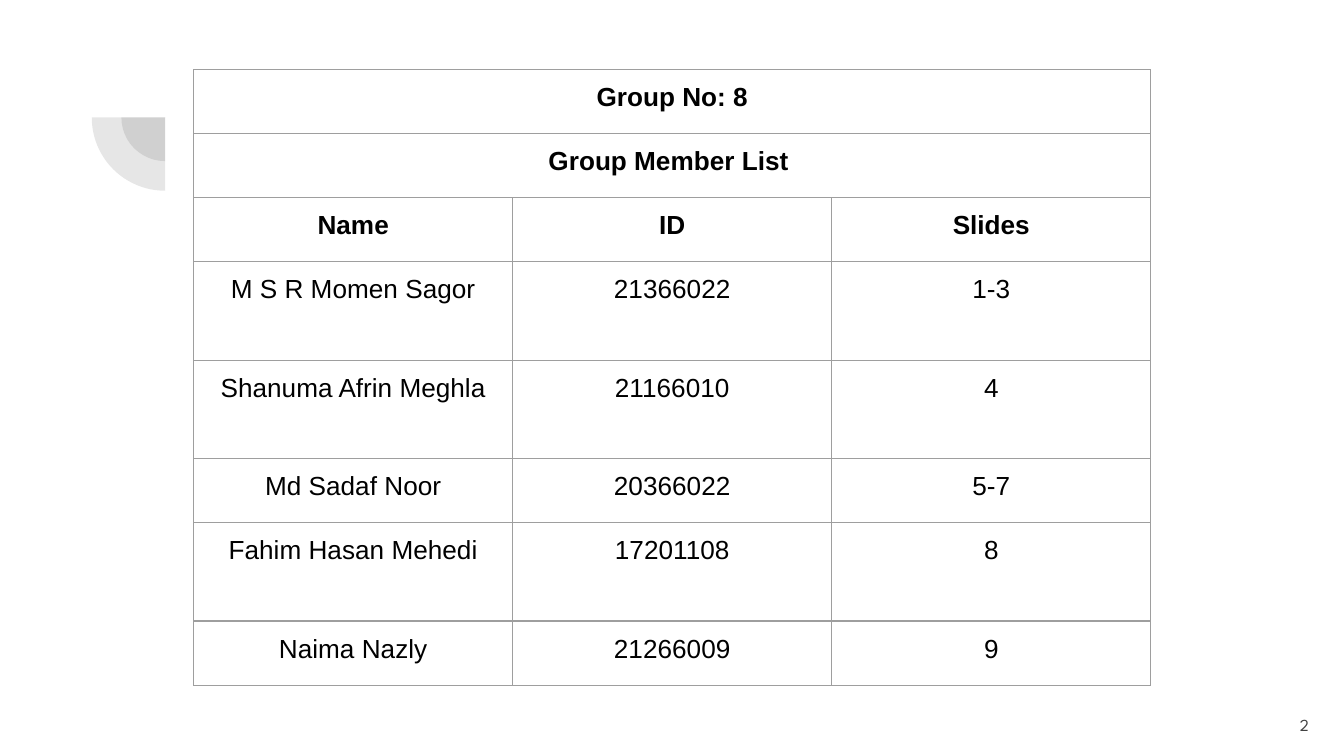
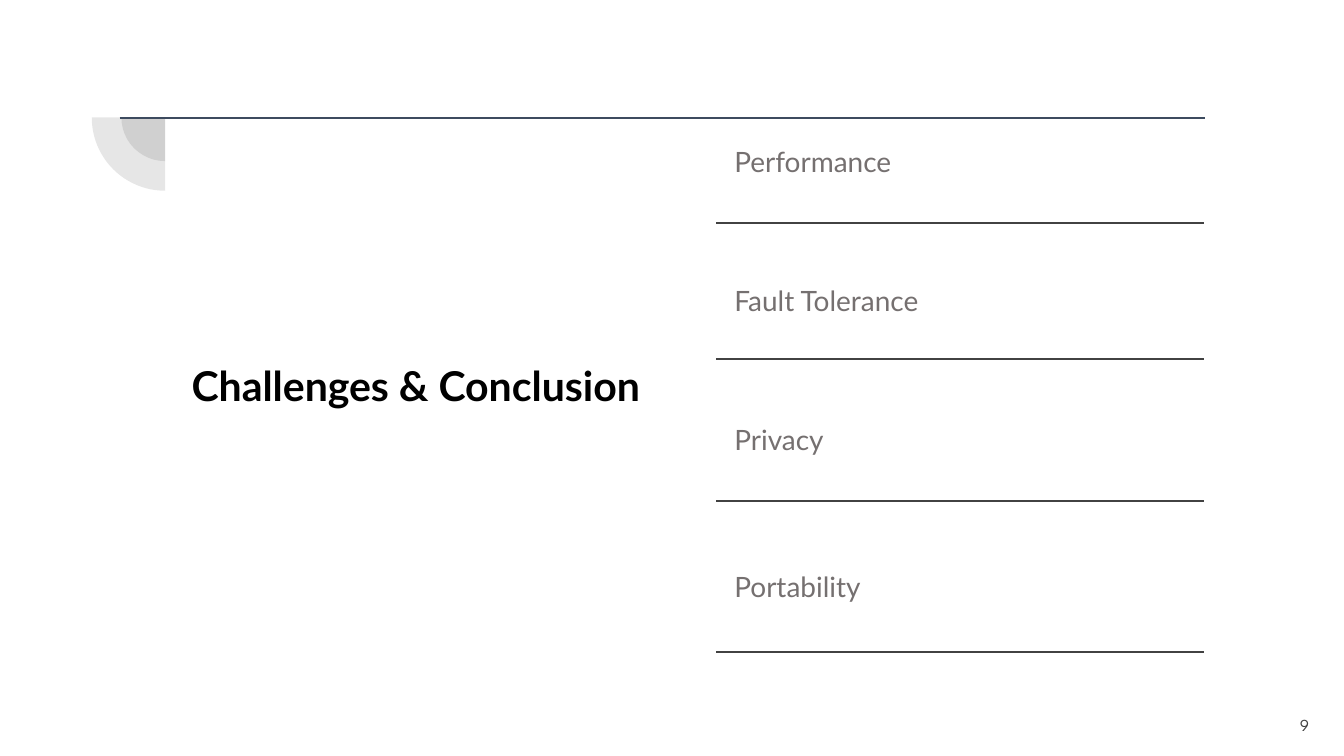
import pptx
import pptx.util
import pptx.dml.color
import pptx.enum.shapes
import pptx.enum.text
import pptx.oxml.ns
from lxml import etree

Cm, Pt = pptx.util.Cm, pptx.util.Pt
ALIGN, ANCHOR = pptx.enum.text.PP_ALIGN, pptx.enum.text.MSO_ANCHOR
qn = pptx.oxml.ns.qn

MEMBER_ROWS = [
    (1.21, True, ["Group No: 8"]),
    (1.21, True, ["Group Member List "]),
    (1.21, True, ["Name", "ID", "Slides"]),
    (1.86, False, ["M S R Momen Sagor", "21366022", "1-3"]),
    (1.86, False, ["Shanuma Afrin Meghla", "21166010", "4"]),
    (1.21, False, ["Md Sadaf Noor", "20366022", "5-7"]),
    (1.86, False, ["Fahim Hasan Mehedi", "17201108", "8"]),
    (1.21, False, ["Naima Nazly", "21266009", "9"]),
]
CONCLUSION = "Challenges & Conclusion"
CHALLENGES = [
    ("Performance", 4.22),
    ("Fault Tolerance", 6.78),
    ("Privacy", 9.47),
    ("Portability", 12.32),
]

THEME = {
    "colors": {"ink": "424242", "rule": "3D4B5F", "grid": "9E9E9E"},
    "member": {"name": "Arial", "size": Pt(14), "color": "000000"},
    "title": {"name": "Lato", "size": Pt(22), "color": "000000", "bold": True},
    "challenge": {"name": "Lato", "size": Pt(15), "color": "757070"},
    "number": {"name": "League Spartan", "size": Pt(9), "color": "424242"},
}
COLORS = THEME["colors"]


def rgb(color):
    return pptx.dml.color.RGBColor.from_string(color)


def apply(target, values):
    for key, value in values.items():
        if key == "color":
            target.color.rgb = rgb(value)
        else:
            setattr(target, key, value)


def insets(inset):
    return {f"margin_{side}": Cm(inset) for side in ("left", "right", "top", "bottom")}


def write(frame, text, style, alignment=ALIGN.LEFT, spacing=None, bold=False):
    paragraph = frame.paragraphs[0]
    apply(paragraph, {"alignment": alignment, "line_spacing": spacing})
    run = paragraph.add_run()
    run.text = text
    apply(run.font, {"bold": bold, **THEME[style]})


def add_text(slide, box, text, style, inset, **layout):
    frame = slide.shapes.add_textbox(*map(Cm, box)).text_frame
    apply(frame, {"word_wrap": True, "vertical_anchor": ANCHOR.MIDDLE, **insets(inset)})
    write(frame, text, style, **layout)


def add_rule(slide, left, right, y, color, width):
    rule = slide.shapes.add_connector(
        pptx.enum.shapes.MSO_CONNECTOR.STRAIGHT, Cm(left), Cm(y), Cm(right), Cm(y))
    apply(rule.line, {"color": color, "width": Pt(width)})
    etree.SubElement(rule.element.spPr, qn("a:effectLst"))


def add_corner(slide):
    center_x, center_y = 3.12, 2.22
    for size in (1.65, 2.77):
        pie = slide.shapes.add_shape(
            pptx.enum.shapes.MSO_SHAPE.PIE, Cm(center_x - size / 2),
            Cm(center_y - size / 2), Cm(size), Cm(size))
        pie.adjustments[0], pie.adjustments[1] = 108, 162
        pie.rotation = 270
        pie.shadow.inherit = False
        pie.line.fill.background()
        pie.fill.solid()
        pie.fill.fore_color.rgb = rgb(COLORS["ink"])
        tint = pie.element.spPr.find(qn("a:solidFill"))[0]
        etree.SubElement(tint, qn("a:alpha"), val="13000")


def start_slide(deck, layout, number):
    slide = deck.slides.add_slide(deck.slide_layouts.get_by_name(layout))
    for placeholder in list(slide.placeholders):
        if placeholder.placeholder_format.idx != 0:
            placeholder.element.getparent().remove(placeholder.element)
    add_corner(slide)
    add_text(slide, (23.47, 13.16, 1.52, 1.09), number, "number", 0.25,
             alignment=ALIGN.RIGHT)
    return slide


def border_cell(cell):
    properties = cell._tc.get_or_add_tcPr()
    for side in ("lnL", "lnR", "lnT", "lnB"):
        line = etree.SubElement(properties, qn(f"a:{side}"), w=str(Pt(0.75)))
        fill = etree.SubElement(line, qn("a:solidFill"))
        etree.SubElement(fill, qn("a:srgbClr"), val=COLORS["grid"])


def build_members(deck):
    slide = start_slide(deck, "Blank", "2")
    columns, column_width = 3, 6.03
    height = sum(row_height for row_height, _, _ in MEMBER_ROWS)
    members = slide.shapes.add_table(
        len(MEMBER_ROWS), columns, Cm(3.66), Cm(1.32),
        Cm(columns * column_width), Cm(height)).table
    apply(members, {"first_row": False, "horz_banding": False})
    for column in members.columns:
        column.width = Cm(column_width)
    for r, (row_height, bold, entries) in enumerate(MEMBER_ROWS):
        members.rows[r].height = Cm(row_height)
        for c in range(columns):
            cell = members.cell(r, c)
            border_cell(cell)
            cell.fill.background()
            apply(cell, insets(0.25))
        if len(entries) == 1:
            members.cell(r, 0).merge(members.cell(r, columns - 1))
        for c, entry in enumerate(entries):
            write(members.cell(r, c).text_frame, entry, "member",
                  alignment=ALIGN.CENTER, bold=bold)


def build_challenges(deck):
    slide = start_slide(deck, "Title Only", "9")
    add_rule(slide, 2.26, 22.78, 2.23, COLORS["rule"], 0.75)
    title = slide.shapes.title
    apply(title, {"left": Cm(3.44), "top": Cm(6.73), "width": Cm(10.1), "height": Cm(0.85)})
    apply(title.text_frame, {
        "word_wrap": True, "vertical_anchor": ANCHOR.TOP,
        "auto_size": pptx.enum.text.MSO_AUTO_SIZE.NONE, **insets(0.18)})
    write(title.text_frame, CONCLUSION, "title", spacing=0.9)
    gap, above = 0.45, 1.51
    for challenge, rule_y in CHALLENGES:
        top = above + gap
        add_text(slide, (13.72, top, 9.04, rule_y - top), challenge, "challenge", 0.16,
                 spacing=0.9)
        add_rule(slide, 13.54, 22.76, rule_y, COLORS["ink"], 1)
        above = rule_y


def main():
    deck = pptx.Presentation()
    apply(deck, {"slide_width": Cm(25.4), "slide_height": Cm(14.29)})
    build_members(deck)
    build_challenges(deck)
    deck.save("out.pptx")


if __name__ == "__main__":
    main()
